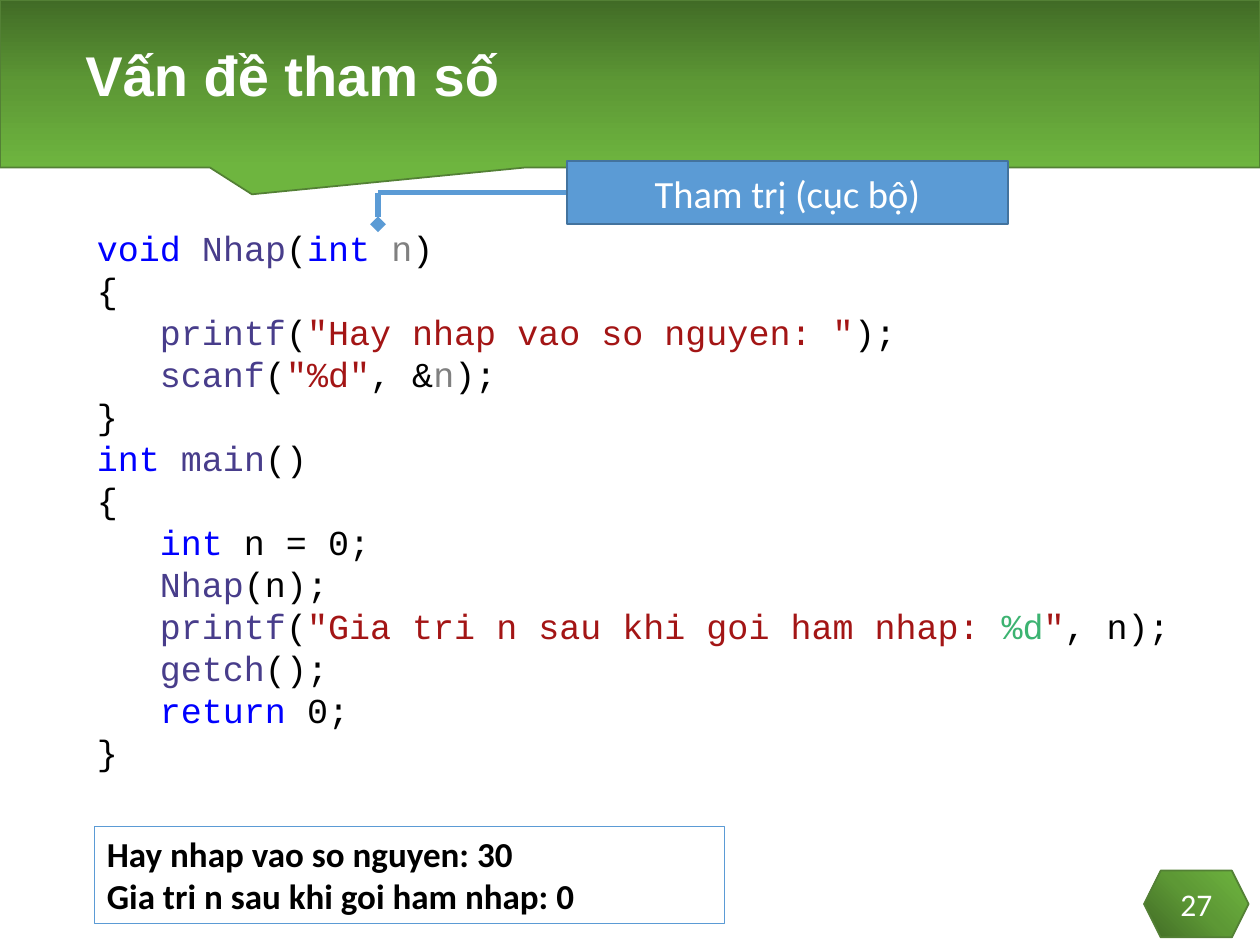
import pptx
import pptx.util
import pptx.oxml
import pptx.dml.color
import pptx.enum.shapes
import pptx.enum.text
from pptx.util import Inches

# Content
TITLE = "Vấn đề tham số"
CALLOUT = "Tham trị (cục bộ)"
PAGE = "27"
OUTPUT = ["Hay nhap vao so nguyen: 30", "Gia tri n sau khi goi ham nhap: 0"]
# Each code line: indent level, then (text, token kind) pairs
CODE = [
    (0, [("void ", "keyword"), ("Nhap", "function"), ("(", "plain"),
         ("int ", "keyword"), ("n", "param"), (")", "plain")]),
    (0, [("{", "plain")]),
    (1, [("printf", "function"), ("(", "plain"),
         ('"Hay nhap vao so nguyen: "', "string"), (");", "plain")]),
    (1, [("scanf", "function"), ("(", "plain"), ('"%d"', "string"),
         (", &", "plain"), ("n", "param"), (");", "plain")]),
    (0, [("}", "plain")]),
    (0, [("int ", "keyword"), ("main", "function"), ("()", "plain")]),
    (0, [("{", "plain")]),
    (1, [("int", "keyword"), (" n = 0;", "plain")]),
    (1, [("Nhap", "function"), ("(n);", "plain")]),
    (1, [("printf", "function"), ("(", "plain"),
         ('"Gia tri n sau khi goi ham nhap: ', "string"), ("%d", "format"),
         ('"', "string"), (", n);", "plain")]),
    (1, [("getch", "function"), ("();", "plain")]),
    (1, [("return", "keyword"), (" 0;", "plain")]),
    (0, [("}", "plain")]),
]

THEME = {
    "white": "FFFFFF", "black": "000000",
    "blue": "5B9BD5", "blue_edge": "43739E", "green_edge": "538035",
    "gradient": [(0, "416B26"), (50, "5D9835"), (100, "6EB53F")],
    "syntax": {"keyword": "0000FF", "function": "483D8B", "plain": "000000",
               "param": "808080", "string": "A31515", "format": "3CB371"},
    "title": ("Arial", 32), "code": ("Courier New", 20),
    "output": ("Calibri", 20), "callout": ("Calibri", 22), "page": ("Calibri", 18),
}
LINEAR = '<a:lin ang="5400000" scaled="0"/>'
FROM_CORNER = '<a:path path="circle"><a:fillToRect t="100000" r="100000"/></a:path>'

SHAPE = pptx.enum.shapes.MSO_SHAPE
ALIGN = pptx.enum.text.PP_ALIGN
ANCHOR = pptx.enum.text.MSO_ANCHOR
NS = 'xmlns:a="http://schemas.openxmlformats.org/drawingml/2006/main"'


def rgb(value):
    return pptx.dml.color.RGBColor.from_string(value)


def style(r, font, color, bold=False):
    r.font.name, r.font.size = font[0], pptx.util.Pt(font[1])
    r.font.color.rgb = rgb(color)
    r.font.bold = bold


def add_shape(s, kind, box, edge, width=1, fill=None):
    sp = s.shapes.add_shape(kind, *map(Inches, box))
    sp.shadow.inherit = False
    sp.line.color.rgb = rgb(edge)
    sp.line.width = pptx.util.Pt(width)
    if fill:
        sp.fill.solid()
        sp.fill.fore_color.rgb = rgb(fill)
    else:
        sp.fill.background()
    return sp


def add_gradient(sp, direction):
    stops = "".join(f'<a:gs pos="{pos * 1000}"><a:srgbClr val="{c}"/></a:gs>'
                    for pos, c in THEME["gradient"])
    grad = pptx.oxml.parse_xml(
        f'<a:gradFill {NS} rotWithShape="1"><a:gsLst>{stops}</a:gsLst>{direction}</a:gradFill>')
    sp.fill.solid()
    spPr = sp.element.spPr
    spPr.replace(spPr.find(pptx.oxml.ns.qn("a:solidFill")), grad)


def add_textbox(s, box):
    tf = s.shapes.add_textbox(*map(Inches, box)).text_frame
    tf.word_wrap = True
    return tf


def set_text(tf, lines, font, color, bold=False, align=ALIGN.LEFT, anchor=ANCHOR.MIDDLE):
    tf.text = "\n".join(lines)
    tf.word_wrap = True
    tf.vertical_anchor = anchor
    for p in tf.paragraphs:
        p.alignment = align
        for r in p.runs:
            style(r, font, color, bold)


def add_line(s, start, end, tail=None):
    cx = s.shapes.add_connector(pptx.enum.shapes.MSO_CONNECTOR.STRAIGHT,
                                *map(Inches, start + end))
    cx.line.color.rgb = rgb(THEME["blue"])
    cx.line.width = pptx.util.Pt(3)
    if tail:
        cx.line._get_or_add_ln().append(pptx.oxml.parse_xml(f'<a:tailEnd {NS} type="{tail}"/>'))
    cx.element.spPr.append(pptx.oxml.parse_xml(f"<a:effectLst {NS}/>"))


def main():
    prs = pptx.Presentation()
    prs.slide_width, prs.slide_height = Inches(10), Inches(7.5)
    s = prs.slides.add_slide(prs.slide_layouts[6])

    # Header band and page number
    band = add_shape(s, SHAPE.RECTANGULAR_CALLOUT, (0, 0, 10, 1.33), THEME["green_edge"])
    band.adjustments[0], band.adjustments[1] = -0.3, 0.66
    add_gradient(band, LINEAR)
    badge = add_shape(s, SHAPE.HEXAGON, (9.08, 6.91, 0.83, 0.53), THEME["green_edge"])
    add_gradient(badge, FROM_CORNER)
    set_text(badge.text_frame, [PAGE], THEME["page"], THEME["white"], align=ALIGN.CENTER)

    # Title
    tf = add_textbox(s, (0.58, 0.08, 8.83, 1.08))
    set_text(tf, [TITLE], THEME["title"], THEME["white"], bold=True)
    tf.paragraphs[0].line_spacing = 0.9

    # Program output
    sp = add_shape(s, SHAPE.RECTANGLE, (0.75, 6.56, 5, 0.77), THEME["blue"], 0.75)
    set_text(sp.text_frame, OUTPUT, THEME["output"], THEME["black"], bold=True, anchor=ANCHOR.TOP)

    # Code listing
    tf = add_textbox(s, (0.67, 1.75, 8.83, 4.48))
    for i, (level, tokens) in enumerate(CODE):
        p = tf.add_paragraph() if i else tf.paragraphs[0]
        p.level = level
        pPr = p._p.get_or_add_pPr()
        pPr.set("marL", str(Inches(0.5 * level)))
        pPr.set("indent", "0")
        for text, kind in tokens:
            r = p.add_run()
            r.text = text
            style(r, THEME["code"], THEME["syntax"][kind])

    # Callout pointing at the parameter
    left, top, width, height = 4.5, 1.28, 3.5, 0.5
    elbow = (3, top + height / 2)
    add_line(s, elbow, (left, elbow[1]))
    add_line(s, elbow, (elbow[0], top + height), tail="diamond")
    sp = add_shape(s, SHAPE.RECTANGLE, (left, top, width, height),
                   THEME["blue_edge"], fill=THEME["blue"])
    set_text(sp.text_frame, [CALLOUT], THEME["callout"], THEME["white"], align=ALIGN.CENTER)

    prs.save("out.pptx")


if __name__ == "__main__":
    main()
